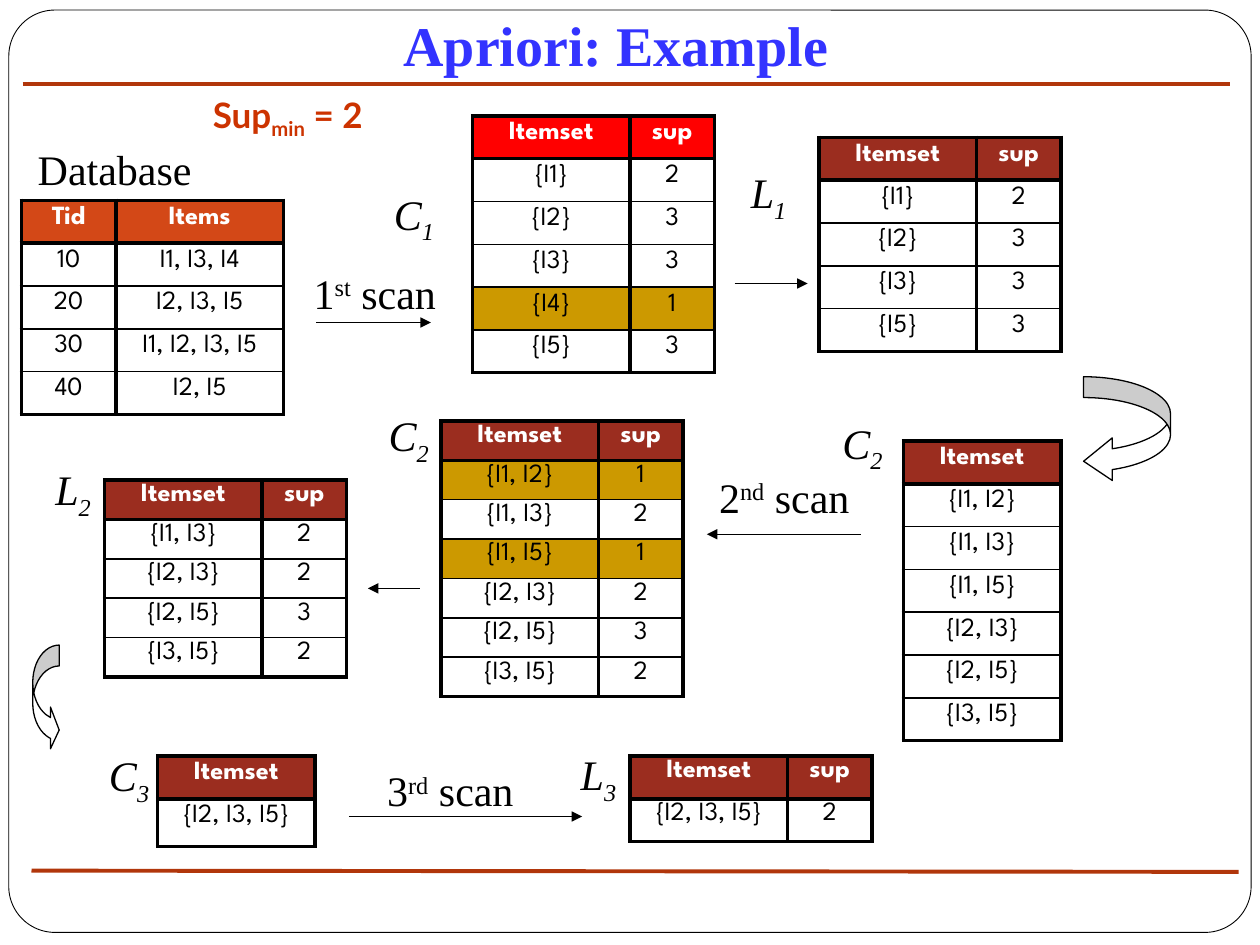
from dataclasses import dataclass
from itertools import product

from lxml.etree import SubElement as Sub
from pptx import Presentation as Deck
from pptx.dml.color import RGBColor as Rgb
from pptx.enum.shapes import MSO_CONNECTOR as Link, MSO_SHAPE as Kind
from pptx.enum.text import MSO_ANCHOR as Anchor, MSO_AUTO_SIZE as Fit, PP_ALIGN as Align
from pptx.oxml.ns import qn
from pptx.util import Inches, Pt


@dataclass(frozen=True)
class Theme:
    black: str = "000000"
    white: str = "FFFFFF"
    title: str = "3333FF"
    accent: str = "CC3300"
    rule: str = "B1360B"
    orange: str = "D34817"
    red: str = "FF0000"
    brown: str = "9B2D1F"
    gold: str = "CC9900"
    serif: str = "Times New Roman"
    sans: str = "Lato"
    cell: str = "League Spartan"
    head_size: float = 32
    note_size: float = 24
    sup_size: float = 20
    cell_size: float = 15
    thin: float = 1
    thick: float = 2.25
    arrow: float = 0.75
    frame: float = 0.5


@dataclass(frozen=True)
class Note:
    box: tuple[float, float, float, float]
    words: tuple[str, ...]
    shift: int = 0
    italic: bool = False
    bold: bool = False
    font: str = Theme.serif
    size: float = Theme.note_size
    color: str = Theme.black
    align: Align = Align.CENTER
    anchor: Anchor = Anchor.MIDDLE
    wrap: bool = False
    foot: float = 0.05


@dataclass(frozen=True)
class Grid:
    left: float
    top: float
    cols: tuple[float, ...]
    rows: list[tuple[str, ...]]
    high: tuple[float, ...]
    fill: str = Theme.brown
    marks: tuple[int, ...] = ()
    space: float = 0.9


@dataclass(frozen=True)
class Line:
    start: tuple[float, float]
    end: tuple[float, float]
    color: str = Theme.black
    width: float = Theme.arrow
    tip: bool = True


@dataclass(frozen=True)
class Curve:
    kind: Kind
    box: tuple[float, float, float, float]
    bends: tuple[float, ...]
    width: float = Theme.arrow


def draw_note(slide, note: Note) -> None:
    frame = slide.shapes.add_textbox(*map(Inches, note.box)).text_frame
    frame.word_wrap = note.wrap
    frame.auto_size = Fit.NONE if note.size == Theme.head_size else Fit.SHAPE_TO_FIT_TEXT
    frame.vertical_anchor = note.anchor
    frame.margin_bottom = Inches(note.foot)
    para = frame.paragraphs[0]
    para.alignment = note.align
    for spot, text in enumerate(note.words):
        run = para.add_run()
        run.text = text
        font = run.font
        font.name, font.size = note.font, Pt(note.size)
        font.bold, font.italic = note.bold, note.italic
        font.color.rgb = Rgb.from_string(note.color)
        if spot == 1:
            run._r.get_or_add_rPr().set("baseline", str(note.shift * 1000))


def draw_line(slide, line: Line) -> None:
    ends = map(Inches, line.start + line.end)
    link = slide.shapes.add_connector(Link.STRAIGHT, *ends)
    link.line.color.rgb = Rgb.from_string(line.color)
    link.line.width = Pt(line.width)
    props = link._element.spPr
    if line.tip:
        Sub(props.find(qn("a:ln")), qn("a:tailEnd"), type="triangle")
    Sub(props, qn("a:effectLst"))


def draw_curve(slide, curve: Curve) -> None:
    shape = slide.shapes.add_shape(curve.kind, *map(Inches, curve.box))
    shape.shadow.inherit = False
    shape.fill.solid()
    shape.fill.fore_color.rgb = Rgb.from_string(Theme.white)
    shape.line.color.rgb = Rgb.from_string(Theme.black)
    shape.line.width = Pt(curve.width)
    for spot, bend in enumerate(curve.bends):
        shape.adjustments[spot] = bend


def draw_edge(cell, side: str, width: float) -> None:
    edge = Sub(cell._tc.get_or_add_tcPr(), qn(f"a:ln{side}"), w=str(Pt(width)))
    Sub(Sub(edge, qn("a:solidFill")), qn("a:srgbClr"), val=Theme.black)


def draw_cell(cell, text: str, row: int, grid: Grid) -> None:
    head, last = row == 0, row == len(grid.rows) - 1
    over = Theme.thick if row <= 1 else Theme.thin
    under = Theme.thick if head or last else Theme.thin
    for side, width in zip("LRTB", (Theme.thick, Theme.thick, over, under)):
        draw_edge(cell, side, width)
    if head or row in grid.marks:
        cell.fill.solid()
        cell.fill.fore_color.rgb = Rgb.from_string(grid.fill if head else Theme.gold)
    else:
        cell.fill.background()
    cell.text_frame.text = text
    para = cell.text_frame.paragraphs[0]
    para.alignment, para.line_spacing = Align.CENTER, grid.space
    font = para.runs[0].font
    font.name, font.size, font.bold = Theme.cell, Pt(Theme.cell_size), head
    font.color.rgb = Rgb.from_string(Theme.white if head else Theme.black)


def draw_grid(slide, grid: Grid) -> None:
    size = len(grid.rows), len(grid.cols)
    box = grid.left, grid.top, sum(grid.cols), sum(grid.high)
    table = slide.shapes.add_table(*size, *map(Inches, box)).table
    table.first_row = table.horz_banding = False
    for col, width in zip(table.columns, grid.cols):
        col.width = Inches(width)
    for row, height in zip(table.rows, grid.high):
        row.height = Inches(height)
    for row, col in product(*map(range, size)):
        draw_cell(table.cell(row, col), grid.rows[row][col], row, grid)


def sub(x: float, y: float, name: str, mark: str) -> Note:
    width = 0.53 if name == "C" else 0.5
    return Note((x, y, width, 0.5), (name, mark), -25, italic=True)


def scan(x: float, y: float, width: float, num: str, mark: str) -> Note:
    return Note((x, y, width, 0.5), (num, mark, " scan"), 30)


PAIR, ONE = (1.25, 0.67), (1.25,)
TALL, LOW = 0.34, 2.19 / 7
HEAD = ("Itemset", "sup")
SINGLE = [("{I1}", "2"), ("{I2}", "3"), ("{I3}", "3"), ("{I4}", "1"), ("{I5}", "3")]
DOUBLE = [("{I1, I2}", "1"), ("{I1, I3}", "2"), ("{I1, I5}", "1"),
          ("{I2, I3}", "2"), ("{I2, I5}", "3"), ("{I3, I5}", "2")]
TRIPLE = [("{I2, I3, I5}", "2")]
DATA = [("Tid", "Items"), ("10", "I1, I3, I4"), ("20", "I2, I3, I5"),
        ("30", "I1, I2, I3, I5"), ("40", "I2, I5")]


def keep(rows: list[tuple[str, str]]) -> list[tuple[str, str]]:
    return [row for row in rows if int(row[1]) >= 2]


def names(rows: list[tuple[str, str]]) -> list[tuple[str]]:
    return [row[:1] for row in rows]


GRIDS = [
    Grid(0.17, 1.59, (0.75, 1.33), DATA, (TALL,) * 5, Theme.orange),
    Grid(3.75, 0.92, PAIR, [HEAD, *SINGLE], (TALL,) * 6, Theme.red, (4,)),
    Grid(6.5, 1.09, PAIR, [HEAD, *keep(SINGLE)], (TALL,) * 5),
    Grid(7.17, 3.5, ONE, names([HEAD, *DOUBLE]), (TALL,) * 7),
    Grid(3.5, 3.34, PAIR, [HEAD, *DOUBLE], (LOW,) * 7, marks=(1, 3), space=0.8),
    Grid(0.83, 3.81, PAIR, [HEAD, *keep(DOUBLE)], (LOW,) * 5, space=0.8),
    Grid(1.25, 6, ONE, names([HEAD, *TRIPLE]), (TALL, 0.38)),
    Grid(5, 6, PAIR, [HEAD, *TRIPLE], (TALL,) * 2, space=0.8),
]
NOTES = [
    Note((0.39, 0.17, 9, 0.55), ("Apriori: Example",), bold=True, size=Theme.head_size,
         color=Theme.title, anchor=Anchor.BOTTOM, wrap=True, foot=0.1),
    Note((0.2, 1.09, 1.42, 0.5), ("Database",)),
    Note((1.59, 0.69, 1.92, 0.43), ("Sup", "min", " = 2"), -25, bold=True, font=Theme.sans,
         size=Theme.sup_size, color=Theme.accent, align=Align.LEFT, anchor=Anchor.TOP, wrap=True),
    scan(2.38, 2.07, 1.19, "1", "st"), scan(5.59, 3.69, 1.27, "2", "nd"),
    scan(2.96, 6.02, 1.23, "3", "rd"),
    sub(3.02, 1.47, "C", "1"), sub(5.85, 1.3, "L", "1"), sub(0.33, 3.66, "L", "2"),
    sub(2.98, 3.23, "C", "2"), sub(6.58, 3.29, "C", "2"),
    sub(0.76, 5.93, "C", "3"), sub(4.5, 5.92, "L", "3"),
]
LINES = [
    Line((2.51, 2.56), (3.42, 2.56)), Line((5.83, 2.25), (6.41, 2.25)),
    Line((6.83, 4.24), (5.61, 4.24)), Line((3.33, 4.67), (2.92, 4.67)),
    Line((2.77, 6.48), (4.62, 6.48)),
    Line((0.18, 0.67), (9.76, 0.67), Theme.rule, Theme.thick, False),
    Line((0.25, 6.91), (9.83, 6.92), Theme.rule, Theme.thick, False),
]
CURVES = [
    Curve(Kind.ROUNDED_RECTANGLE, (0.07, 0.08, 9.86, 7.32), (0.05,), Theme.frame),
    Curve(Kind.CURVED_LEFT_ARROW, (8.6, 2.99, 0.69, 0.84), (0.24, 0.49, 0.33)),
    Curve(Kind.CURVED_RIGHT_ARROW, (0.26, 5.12, 0.21, 0.84), (0.79, 1.58, 0.33)),
]


def main() -> None:
    deck = Deck()
    deck.slide_width, deck.slide_height = Inches(10), Inches(7.5)
    slide = deck.slides.add_slide(deck.slide_layouts[6])
    for draw, items in ((draw_curve, CURVES), (draw_note, NOTES),
                        (draw_grid, GRIDS), (draw_line, LINES)):
        for item in items:
            draw(slide, item)
    deck.save("out.pptx")


if __name__ == "__main__":
    main()
